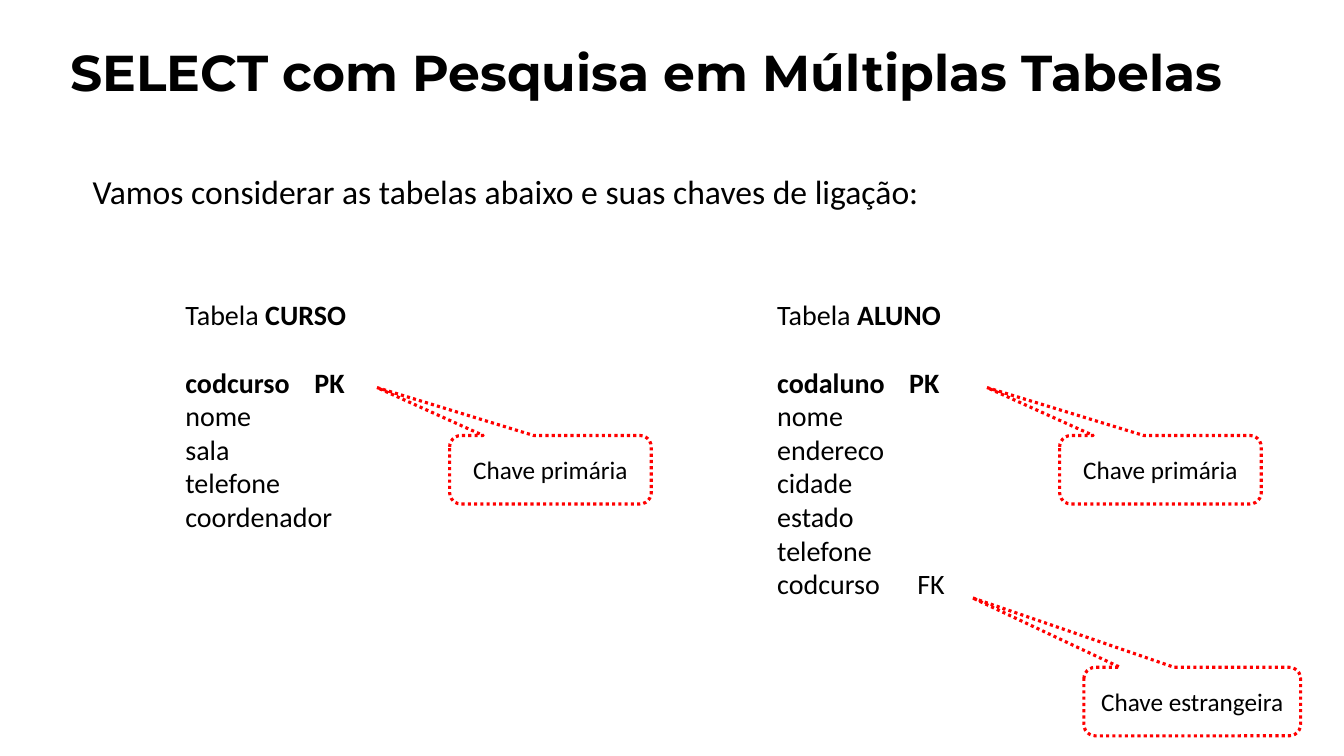
from dataclasses import dataclass

import pptx
import pptx.dml.color
import pptx.enum.dml
import pptx.enum.shapes
import pptx.enum.text
import pptx.oxml.ns
import pptx.util
from lxml import etree

Inches = pptx.util.Inches
Pt = pptx.util.Pt
Color = pptx.dml.color.RGBColor.from_string
Text = pptx.enum.text


@dataclass(frozen=True)
class Theme:
    ink: str = "000000"
    accent: str = "FF0000"
    head: str = "Montserrat"
    body: str = "Calibri"
    title: int = 36
    lead: int = 24
    field: int = 20
    note: int = 18
    gap: float = 24.4
    line: float = 2.25


THEME = Theme()


def add_run(para, text, size, bold=False, font=THEME.body):
    """Append one styled run to a paragraph."""
    run = para.add_run()
    run.text = text
    run.font.size = Pt(size)
    run.font.bold = bold
    run.font.name = font
    run.font.color.rgb = Color(THEME.ink)


def add_box(slide, left, top, width, height, wrap=True):
    """Add a text box that grows with its text and return its frame."""
    box = slide.shapes.add_textbox(*map(Inches, (left, top, width, height)))
    frame = box.text_frame
    frame.word_wrap = wrap
    frame.auto_size = Text.MSO_AUTO_SIZE.SHAPE_TO_FIT_TEXT
    return frame


def set_tab(para, pos):
    """Give a paragraph one left tab stop."""
    qn = pptx.oxml.ns.qn
    tabs = etree.SubElement(para._p.get_or_add_pPr(), qn("a:tabLst"))
    etree.SubElement(tabs, qn("a:tab"), pos=str(Inches(pos)), algn="l")


def add_table(slide, left, height, name, fields):
    """List a table's name and fields, with key marks set at a tab stop."""
    frame = add_box(slide, left, 2.9, 3.5, height)
    para = frame.paragraphs[0]
    add_run(para, "Tabela ", THEME.field)
    add_run(para, name, THEME.field, bold=True)
    for row, (field, key, tab) in enumerate(fields):
        para = frame.add_paragraph()
        if row == 0:
            para.space_before = Pt(THEME.gap)
        bold = key == "PK"
        add_run(para, field, THEME.field, bold)
        if key:
            set_tab(para, tab)
            add_run(para, "\t" + key, THEME.field, bold)


def add_note(slide, left, top, width, text, tip):
    """Add a dotted callout whose tip points at a key."""
    kind = pptx.enum.shapes.MSO_SHAPE.ROUNDED_RECTANGULAR_CALLOUT
    note = slide.shapes.add_shape(kind, *map(Inches, (left, top, width, 0.68)))
    note.shadow.inherit = False
    note.fill.background()
    note.line.color.rgb = Color(THEME.accent)
    note.line.width = Pt(THEME.line)
    note.line.dash_style = pptx.enum.dml.MSO_LINE.ROUND_DOT
    for place, value in enumerate((*tip, 0.167)):
        note.adjustments[place] = value
    frame = note.text_frame
    frame.word_wrap = True
    frame.vertical_anchor = Text.MSO_ANCHOR.MIDDLE
    para = frame.paragraphs[0]
    para.alignment = Text.PP_ALIGN.CENTER
    add_run(para, text, THEME.note)


def main():
    """Build the slide and save it."""
    deck = pptx.Presentation()
    deck.slide_width, deck.slide_height = Inches(13.33), Inches(7.5)
    slide = deck.slides.add_slide(deck.slide_layouts[6])

    para = add_box(slide, 0.07, 1.65, 12.12, 0.91).paragraphs[0]
    para._p.get_or_add_pPr().set("indent", str(Inches(0.75)))
    add_run(para, "Vamos considerar as tabelas abaixo e suas chaves de ligação:",
            THEME.lead)
    para = add_box(slide, 0.6, 0.36, 11.76, 0.71, wrap=False).paragraphs[0]
    add_run(para, "SELECT com Pesquisa em Múltiplas Tabelas", THEME.title,
            bold=True, font=THEME.head)

    def plain(*names):
        return [(name, "", 0) for name in names]

    add_table(slide, 7.61, 3.47, "ALUNO", [
        ("codaluno", "PK", 1.31),
        *plain("nome", "endereco", "cidade", "estado", "telefone"),
        ("codcurso", "FK", 1.39)])
    add_table(slide, 1.74, 2.79, "CURSO", [
        ("codcurso", "PK", 1.28),
        *plain("nome", "sala", "telefone", "coordenador")])

    add_note(slide, 10.75, 6.62, 2.15, "Chave estrangeira", (-1.016, -1.516))
    for left in (10.51, 4.46):
        add_note(slide, left, 4.32, 2, "Chave primária", (-0.861, -1.2))

    deck.save("out.pptx")


if __name__ == "__main__":
    main()
